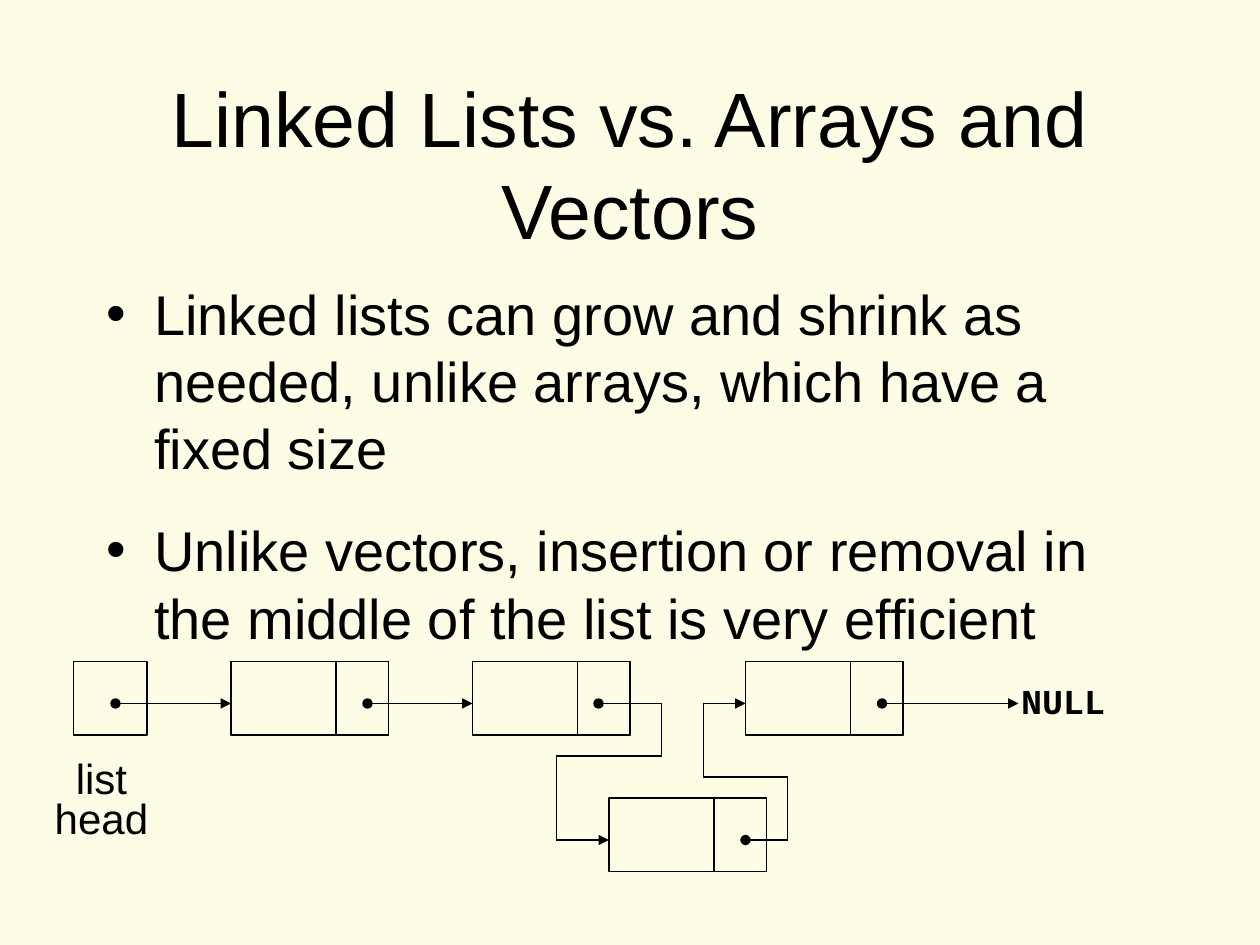
"""Builds a slide comparing linked lists with arrays and vectors."""
from lxml import etree
from pptx import Presentation
from pptx.dml.color import RGBColor
from pptx.enum import shapes as sh, text as tx
from pptx.oxml.ns import qn
from pptx.util import Pt

INK = RGBColor(0, 0, 0)
PAPER = RGBColor(0xFD, 0xFC, 0xE5)

deck = Presentation()
deck.slide_width, deck.slide_height = Pt(720), Pt(540)
slide = deck.slides.add_slide(deck.slide_layouts[6])
slide.background.fill.solid()
slide.background.fill.fore_color.rgb = PAPER


def write(box, lines, size, font="Arial", wrap=True):
    """Add a text box and return its frame."""
    frame = slide.shapes.add_textbox(*map(Pt, box)).text_frame
    frame.word_wrap = wrap
    if not wrap:
        frame.auto_size = tx.MSO_AUTO_SIZE.SHAPE_TO_FIT_TEXT
    frame.text = "\n".join(lines)
    for para in frame.paragraphs:
        para.alignment = tx.PP_ALIGN.CENTER
        para.font.size = Pt(size)
        para.font.name = font
        para.font.color.rgb = INK
    return frame


def block(left, top, width):
    """Add an outlined box of the common height."""
    rect = slide.shapes.add_shape(
        sh.MSO_SHAPE.RECTANGLE, Pt(left), Pt(top), Pt(width), Pt(42))
    rect.shadow.inherit = False
    rect.fill.background()
    rect.line.color.rgb = INK
    rect.line.width = Pt(0.74)


title = write((54, 48, 612, 90), ["Linked Lists vs. Arrays and Vectors"], 44)
title.vertical_anchor = tx.MSO_ANCHOR.MIDDLE

points = [
    "Linked lists can grow and shrink as needed, unlike arrays, which have a fixed size",
    "Unlike vectors, insertion or removal in the middle of the list is very efficient",
]
body = write((54, 156, 612, 222), points, 32)
for para, gap in zip(body.paragraphs, (8, 20)):
    para.alignment = tx.PP_ALIGN.LEFT
    para.space_before = Pt(gap)
    props = para._p.get_or_add_pPr()
    props.set("marL", str(Pt(27)))
    props.set("indent", str(Pt(-27)))
    etree.SubElement(props, qn("a:buFont"), typeface="Arial")
    etree.SubElement(props, qn("a:buChar"), char="•")
    props.append(props.find(qn("a:defRPr")))

block(42, 378, 42)
for left, top in [(132, 378), (270, 378), (426, 378), (348, 456)]:
    block(left, top, 90)
    block(left + 60, top, 30)

links = [
    [(66, 402), (132, 402)],
    [(210, 402), (270, 402)],
    [(504, 402), (582, 402)],
    [(342, 402), (378, 402), (378, 432), (318, 432), (318, 480), (348, 480)],
    [(426, 480), (450, 480), (450, 444), (402, 444), (402, 402), (426, 402)],
]
for link in links:
    last = len(link) - 2
    for step, (start, end) in enumerate(zip(link, link[1:])):
        wire = slide.shapes.add_connector(
            sh.MSO_CONNECTOR.STRAIGHT, *map(Pt, start + end))
        wire.line.color.rgb = INK
        wire.line.width = Pt(0.74)
        line = wire.line._get_or_add_ln()
        if step == 0:
            etree.SubElement(line, qn("a:headEnd"), type="oval")
        if step == last:
            etree.SubElement(line, qn("a:tailEnd"), type="triangle")
        etree.SubElement(wire._element.spPr, qn("a:effectLst"))

null = write((576, 380, 63, 36), ["NULL"], 20, "Courier New", False).paragraphs[0]
null.font.bold = True
null.line_spacing = 1.2
null.space_before = Pt(2.5)

head = write((22, 432, 72, 53), ["list", "head"], 24, wrap=False)
for para in head.paragraphs:
    para.line_spacing = 0.8

deck.save("out.pptx")
